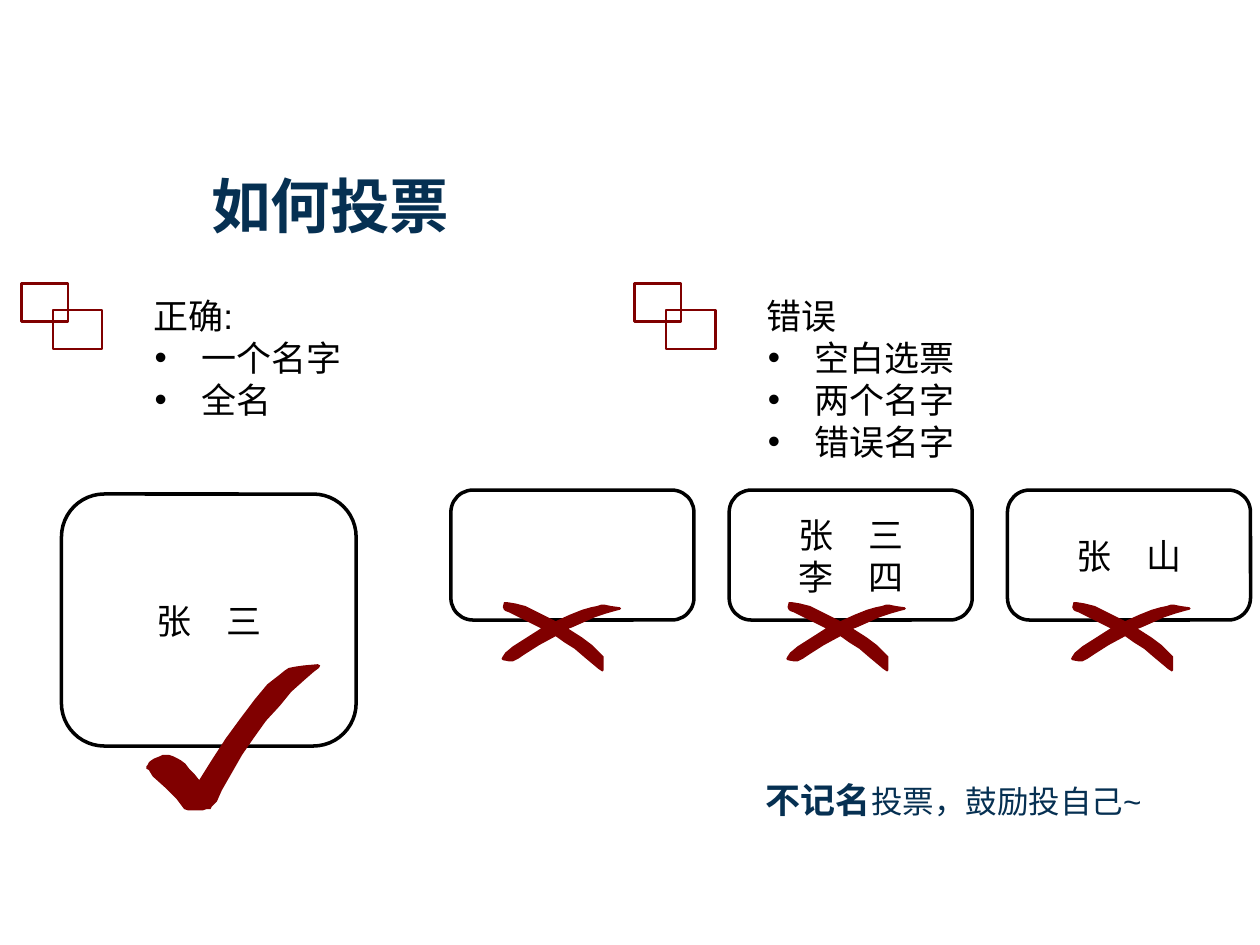
from pptx import Presentation, util as u
from pptx.dml.color import RGBColor
from pptx.enum import shapes, text
from pptx.oxml import parse_xml
from pptx.oxml.ns import nsdecls

theme = {
    "navy": RGBColor.from_string("063052"),
    "red": RGBColor.from_string("800000"),
    "black": RGBColor.from_string("000000"),
    "white": RGBColor.from_string("FFFFFF"),
    "hans": "Noto Sans CJK SC",
    "latin": "Arial",
    "title": u.Pt(34),
    "body": u.Pt(20),
    "note": u.Pt(18),
    "lead": u.Pt(24),
}
title = {"size": theme["title"], "bold": True, "name": theme["hans"]}
body = {"size": theme["body"], "bold": False, "name": theme["hans"]}
colon = {**body, "name": theme["latin"]}
strong = {**colon, "bold": True}
note = {**colon, "size": theme["note"]}


def write(frame, lines, tint, form, mid=False):
    box = {
        "word_wrap": True,
        "vertical_anchor": text.MSO_ANCHOR.MIDDLE if mid else text.MSO_ANCHOR.TOP,
    }
    for key, val in box.items():
        setattr(frame, key, val)
    for row, (runs, mark) in enumerate(lines):
        para = frame.paragraphs[0] if row == 0 else frame.add_paragraph()
        if mark:
            props = para._p.get_or_add_pPr()
            props.set("marL", str(u.Cm(0.97)))
            props.set("indent", str(-u.Cm(0.94)))
            props.append(parse_xml(f'<a:buFont {nsdecls("a")} typeface="{theme["latin"]}"/>'))
            props.append(parse_xml(f'<a:buChar {nsdecls("a")} char="•"/>'))
        for key, val in form.items():
            setattr(para, key, val)
        for words, style in runs:
            run = para.add_run()
            run.text = words
            for key, val in style.items():
                setattr(run.font, key, val)
            run.font.color.rgb = tint
            run.font._element.append(
                parse_xml(f'<a:ea {nsdecls("a")} typeface="{theme["hans"]}"/>'))


def paint(shape, fill, line=None, width=0):
    shape.shadow.inherit = False
    if fill is None:
        shape.fill.background()
    else:
        shape.fill.solid()
        shape.fill.fore_color.rgb = fill
    if line is None:
        shape.line.fill.background()
    else:
        shape.line.color.rgb = line
        shape.line.width = u.Pt(width)


deck = Presentation()
deck.slide_width, deck.slide_height = u.Cm(25.4), u.Cm(19.05)
slide = deck.slides.add_slide(deck.slide_layouts[6])
left = {"alignment": text.PP_ALIGN.LEFT, "line_spacing": theme["lead"]}
center = {**left, "alignment": text.PP_ALIGN.CENTER}

head = slide.shapes.add_textbox(u.Cm(4.01), u.Cm(2.54), u.Cm(21.39), u.Cm(3.18))
write(head.text_frame, [([("如何投票", title)], False)], theme["navy"],
      {"alignment": text.PP_ALIGN.LEFT}, mid=True)

rules = [
    ([("正确", body), (":", colon)], ["一个名字", "全名"], 2.79),
    ([("错误", body)], ["空白选票", "两个名字", "错误名字"], 3.63),
]
for col, (lead, items, high) in enumerate(rules):
    shift = 12.36 * col
    group = slide.shapes.add_group_shape()
    panel = group.shapes.add_textbox(u.Cm(2.84 + shift), u.Cm(5.82), u.Cm(12.01), u.Cm(high))
    lines = [(lead, False)] + [([(item, body)], True) for item in items]
    write(panel.text_frame, lines, theme["black"], left)
    for x, y, wide, tall in [(0.43, 5.72, 0.94, 0.76), (1.07, 6.25, 0.99, 0.79)]:
        frame = group.shapes.add_shape(shapes.MSO_SHAPE.RECTANGLE, u.Cm(x + shift), u.Cm(y),
                                       u.Cm(wide), u.Cm(tall))
        paint(frame, None, theme["red"], 1.5)

votes = [(1.24, 9.96, 5.94, 5.08, ["张　三"])]
for col, names in enumerate([[], ["张　三", "李　四"], ["张　山"]]):
    votes.append((9.09 + 5.61 * col, 9.88, 4.9, 2.62, names))
for x, y, wide, tall, names in votes:
    card = slide.shapes.add_shape(shapes.MSO_SHAPE.ROUNDED_RECTANGLE, u.Cm(x), u.Cm(y),
                                  u.Cm(wide), u.Cm(tall))
    card.adjustments[0] = 0.17
    paint(card, theme["white"], theme["black"], 2)
    write(card.text_frame, [([(name, body)], False) for name in names],
          theme["black"], center, mid=True)

cross = [
    (94, 4), (87, 3), (82, 2), (79, 2), (76, 3), (71, 4), (64, 6), (54, 10), (43, 15),
    (31, 9), (19, 3), (11, 1), (5, 0), (2, 0), (1, 4), (2, 6), (3, 7), (6, 8), (12, 11),
    (22, 16), (32, 21), (31, 21), (20, 28), (9, 35), (3, 40), (1, 43), (0, 45), (1, 46),
    (6, 47), (9, 47), (13, 45), (19, 41), (30, 34), (43, 27), (50, 32), (58, 37), (65, 43),
    (71, 48), (77, 53), (80, 55), (81, 54), (81, 43), (80, 42), (77, 39), (72, 34), (64, 28),
    (53, 21), (56, 20), (65, 16), (74, 12), (83, 9), (90, 7), (94, 6), (95, 5),
]
tick = [
    (42, 92), (52, 76), (63, 59), (74, 44), (86, 28), (96, 16), (105, 9), (110, 5), (113, 3),
    (118, 2), (125, 1), (136, 0), (138, 1), (137, 3), (133, 6), (125, 13), (115, 22),
    (106, 33), (95, 45), (85, 59), (76, 72), (68, 86), (60, 100), (56, 109), (52, 113),
    (51, 115), (48, 115), (45, 116), (33, 116), (30, 115), (24, 107), (15, 98), (5, 89),
    (2, 84), (0, 83), (0, 81), (1, 80), (2, 78), (3, 77), (6, 75), (11, 73), (13, 72),
    (18, 72), (21, 73), (27, 76), (31, 79), (34, 83), (38, 87),
]
marks = [(cross, 10.11 + 5.74 * col, 12.14) for col in range(3)] + [(tick, 2.95, 13.39)]
for points, x, y in marks:
    pen = slide.shapes.build_freeform(*points[0], scale=u.Cm(2.54) / 100)
    pen.add_line_segments(points[1:], close=True)
    paint(pen.convert_to_shape(u.Cm(x), u.Cm(y)), theme["red"])

foot = slide.shapes.add_textbox(u.Cm(15.19), u.Cm(15.57), u.Cm(11.48), u.Cm(1.09))
write(foot.text_frame, [([("不记名", strong), ("投票，鼓励投自己~", note)], False)],
      theme["navy"], left)

deck.save("out.pptx")
